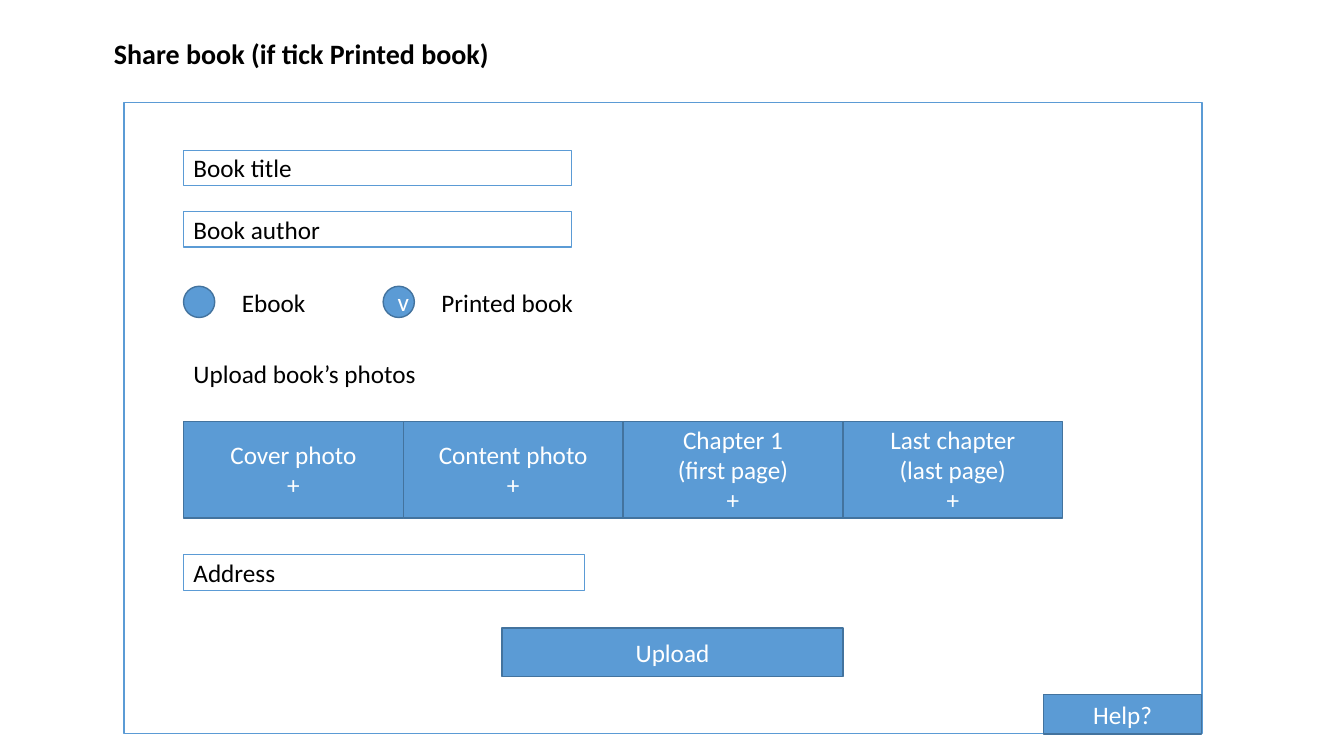
"""Build the wireframe slide for sharing a printed book."""
from dataclasses import dataclass

from pptx import Presentation
from pptx import util as u
from pptx.dml.color import RGBColor
from pptx.enum import shapes, text


@dataclass(frozen=True)
class Theme:
    font: str = "Calibri"
    title_size: int = 20
    body_size: int = 18
    ink: str = "000000"
    paper: str = "FFFFFF"
    accent: str = "5B9BD5"
    accent_edge: str = "43739E"


class Wireframe:
    SCALE = u.Inches(1) // 100

    def __init__(self, slide, theme):
        self.slide = slide
        self.theme = theme

    def px(self, *lengths):
        return [u.Emu(length * self.SCALE) for length in lengths]

    def set_wording(self, frame, wording, color, align, size=None, bold=False):
        frame.text = wording
        for paragraph in frame.paragraphs:
            paragraph.alignment = align
            font = paragraph.font
            font.name = self.theme.font
            font.size = u.Pt(size or self.theme.body_size)
            font.bold = bold
            font.color.rgb = RGBColor.from_string(color)

    def title(self, wording, *box):
        title = self.slide.shapes.title
        title.left, title.top, title.width, title.height = self.px(*box)
        frame = title.text_frame
        frame.vertical_anchor = text.MSO_ANCHOR.TOP
        frame.auto_size = text.MSO_AUTO_SIZE.NONE
        self.set_wording(frame, wording, self.theme.ink, text.PP_ALIGN.LEFT,
                         self.theme.title_size, bold=True)

    def outline(self, kind, box, fill, edge):
        shape = self.slide.shapes.add_shape(kind, *self.px(*box))
        shape.shadow.inherit = False
        shape.fill.solid()
        shape.fill.fore_color.rgb = RGBColor.from_string(fill)
        shape.line.color.rgb = RGBColor.from_string(edge)
        shape.line.width = u.Pt(1)
        return shape

    def field(self, wording, *box):
        field = self.outline(shapes.MSO_SHAPE.RECTANGLE, box,
                             self.theme.paper, self.theme.accent)
        if wording:
            self.set_wording(field.text_frame, wording, self.theme.ink,
                             text.PP_ALIGN.LEFT)

    def button(self, wording, *box, kind=shapes.MSO_SHAPE.RECTANGLE):
        button = self.outline(kind, box, self.theme.accent, self.theme.accent_edge)
        if wording:
            self.set_wording(button.text_frame, wording, self.theme.paper,
                             text.PP_ALIGN.CENTER)

    def label(self, wording, *box):
        frame = self.slide.shapes.add_textbox(*self.px(*box)).text_frame
        frame.word_wrap = True
        frame.auto_size = text.MSO_AUTO_SIZE.SHAPE_TO_FIT_TEXT
        self.set_wording(frame, wording, self.theme.ink, text.PP_ALIGN.LEFT)

    def option(self, wording, mark, left, top, label_width):
        self.button(mark, left, top, 31, 31, kind=shapes.MSO_SHAPE.OVAL)
        self.label(wording, left + 48, top - 4, label_width, 40)


def main():
    deck = Presentation()
    deck.slide_width, deck.slide_height = u.Inches(13.33), u.Inches(7.5)
    slide = deck.slides.add_slide(deck.slide_layouts.get_by_name("Title Only"))
    page = Wireframe(slide, Theme())
    margin = 182

    page.title("Share book (if tick Printed book)", 103, 31, 415, 44)
    page.field("", 123, 102, 1069, 626)
    page.field("Book title", margin, 149, 385, 35)
    page.field("Book author", margin, 210, 385, 35)
    page.option("Ebook", "", margin, 284, 121)
    page.option("Printed book", "v", 380, 284, 152)
    page.label("Upload book’s photos", margin, 351, 246, 40)

    photos = ["Cover photo\n+", "Content photo\n+",
              "Chapter 1\n(first page)\n+", "Last chapter\n(last page)\n+"]
    photo_width = 218
    for column, photo in enumerate(photos):
        page.button(photo, margin + column * photo_width, 418, photo_width, 96)

    page.field("Address", margin, 550, 398, 36)
    page.button("Upload", 498, 623, 338, 48)
    page.button("Help?", 1035, 689, 157, 39)
    deck.save("out.pptx")


if __name__ == "__main__":
    main()
